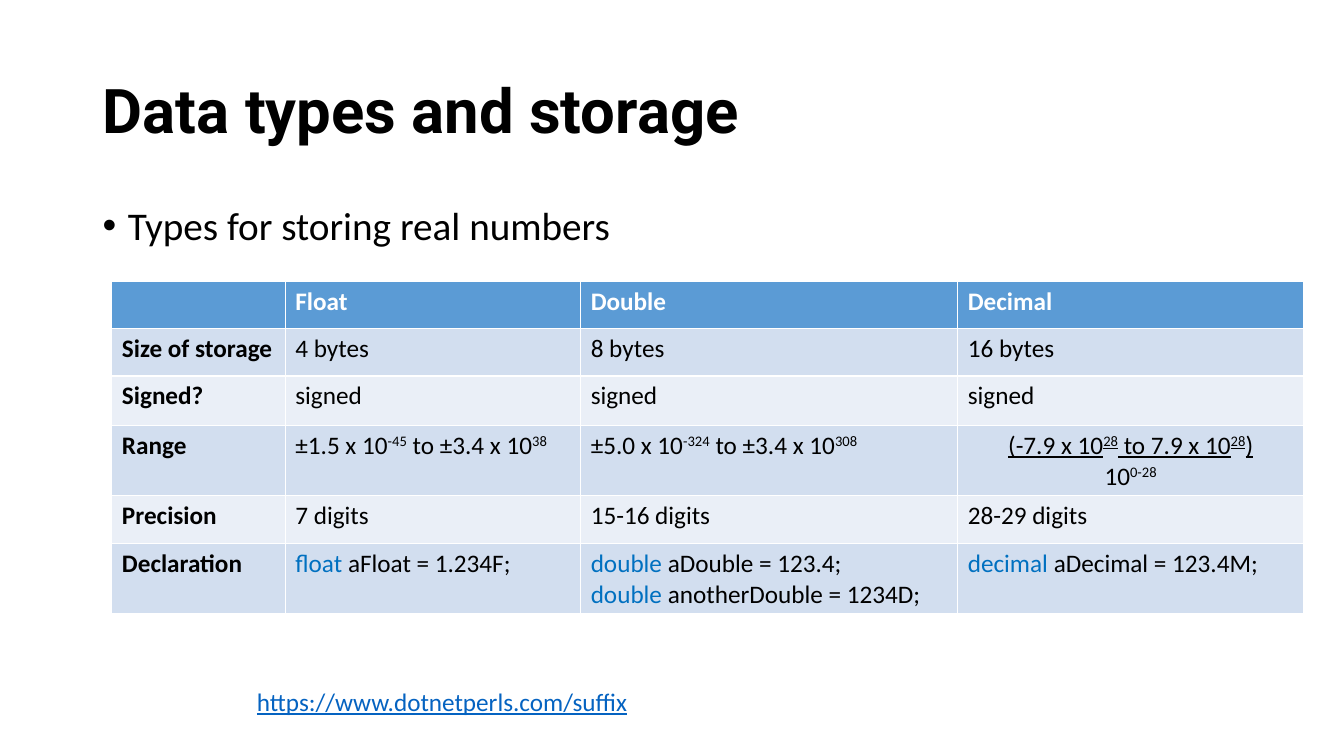
"""Build a slide that compares the types for storing real numbers."""
from lxml import etree
from pptx import Presentation
from pptx.dml.color import RGBColor
from pptx.enum.text import MSO_ANCHOR, MSO_AUTO_SIZE, PP_ALIGN
from pptx.oxml.ns import qn
from pptx.util import Pt

PX = 9144
BLACK = RGBColor(0x00, 0x00, 0x00)
WHITE = RGBColor(0xFF, 0xFF, 0xFF)
HEAD = RGBColor(0x5B, 0x9B, 0xD5)
DARK = RGBColor(0xD2, 0xDE, 0xEF)
LIGHT = RGBColor(0xEA, 0xEF, 0xF7)
BLUE = RGBColor(0x00, 0x70, 0xC0)
LINK = RGBColor(0x05, 0x63, 0xC1)
MIDDLE = MSO_ANCHOR.MIDDLE
FIXED = MSO_AUTO_SIZE.NONE
LEFT, CENTER = PP_ALIGN.LEFT, PP_ALIGN.CENTER

COLS = [172, 293, 374, 343]
ROWS = [47, 47, 49, 70, 47, 70]
POWER, CODE = 3, 5
CELLS = [
    ["", "Float", "Double", "Decimal"],
    ["Size of storage", "4 bytes", "8 bytes", "16 bytes"],
    ["Signed?", "signed", "signed", "signed"],
    ["Range", "±1.5 x 10|-45| to ±3.4 x 10|38", "±5.0 x 10|-324| to ±3.4 x 10|308",
     "(-7.9 x 10|28| to 7.9 x 10|28|)\n10|0-28"],
    ["Precision", "7 digits", "15-16 digits", "28-29 digits"],
    ["Declaration", "|float |aFloat = 1.234F;",
     "|double |aDouble = 123.4;\n|double |anotherDouble = 1234D;",
     "|decimal |aDecimal = 123.4M;"],
]


def add_run(para, text, size, color=BLACK, bold=False, face="Calibri"):
    """Add one styled run and return its font."""
    run = para.add_run()
    run.text = text
    font = run.font
    font.name, font.size, font.bold = face, Pt(size), bold
    font.color.rgb = color
    return font


def add_box(left, top, width, height):
    """Add a wrapping text box and return its first paragraph."""
    frame = slide.shapes.add_textbox(left * PX, top * PX, width * PX, height * PX).text_frame
    frame.word_wrap = True
    return frame.paragraphs[0]


deck = Presentation()
deck.slide_width, deck.slide_height = 1333 * PX, 750 * PX
slide = deck.slides.add_slide(deck.slide_layouts[5])

title = slide.shapes.title
title.left, title.top, title.width, title.height = 92 * PX, 40 * PX, 1150 * PX, 145 * PX
title.text_frame.vertical_anchor = MIDDLE
title.text_frame.auto_size = FIXED
para = title.text_frame.paragraphs[0]
para.alignment, para.line_spacing = LEFT, 0.9
add_run(para, "Data types and storage", 44, bold=True, face="Roboto")

para = add_box(92, 200, 1150, 476)
props = para._p.get_or_add_pPr()
props.set("marL", str(25 * PX))
props.set("indent", str(-25 * PX))
etree.SubElement(props, qn("a:buFont")).set("typeface", "Arial")
etree.SubElement(props, qn("a:buChar")).set("char", "•")
para.line_spacing = 0.9
add_run(para, "Types for storing real numbers", 28)

table = slide.shapes.add_table(
    len(ROWS), len(COLS), 111 * PX, 279 * PX, sum(COLS) * PX, sum(ROWS) * PX).table
for col, width in zip(table.columns, COLS):
    col.width = width * PX
for row, height in zip(table.rows, ROWS):
    row.height = height * PX

for r, texts in enumerate(CELLS):
    for c, text in enumerate(texts):
        cell = table.cell(r, c)
        cell.fill.solid()
        cell.fill.fore_color.rgb = HEAD if r == 0 else DARK if r % 2 else LIGHT
        ratio = r == POWER and c == 3
        for n, line in enumerate(text.split("\n")):
            para = cell.text_frame.add_paragraph() if n else cell.text_frame.paragraphs[0]
            if ratio:
                para.alignment = CENTER
            for k, part in enumerate(line.split("|")):
                if not part:
                    continue
                mark = k % 2 == 1
                color = WHITE if r == 0 else BLUE if mark and r == CODE else BLACK
                font = add_run(para, part, 18, color, r == 0 or c == 0)
                if ratio and n == 0:
                    font.underline = True
                if mark and r == POWER:
                    font._element.set("baseline", "30000")

para = add_box(245, 676, 532, 40)
add_run(para, "https://www.dotnetperls.com/suffix", 18, LINK).underline = True

deck.save("out.pptx")
